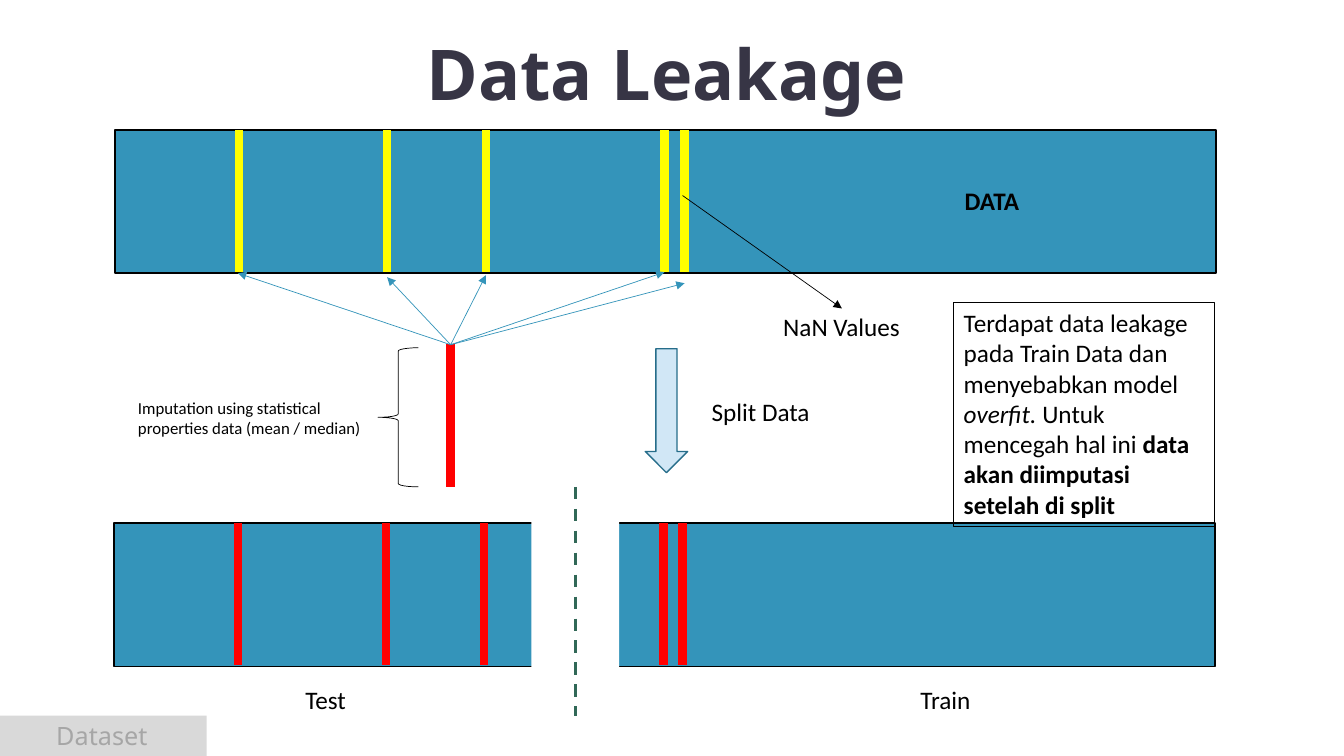
from lxml import etree
from pptx import Presentation
from pptx.dml.color import RGBColor
from pptx.enum.dml import MSO_LINE
from pptx.enum.shapes import MSO_CONNECTOR, MSO_SHAPE
from pptx.enum.text import MSO_ANCHOR, MSO_AUTO_SIZE, PP_ALIGN
from pptx.oxml.ns import qn
from pptx.util import Inches, Pt

BLACK = RGBColor(0x00, 0x00, 0x00)
WHITE = RGBColor(0xFF, 0xFF, 0xFF)
BLUE = RGBColor(0x34, 0x94, 0xBA)
DARK_BLUE = RGBColor(0x26, 0x6D, 0x8A)
PALE_BLUE = RGBColor(0xD1, 0xE7, 0xF6)
YELLOW = RGBColor(0xFF, 0xFF, 0x00)
RED = RGBColor(0xFF, 0x00, 0x00)
GREEN = RGBColor(0x31, 0x68, 0x57)
INK = RGBColor(0x37, 0x35, 0x45)
GREY = RGBColor(0xA6, 0xA6, 0xA6)
LIGHT_GREY = RGBColor(0xD9, 0xD9, 0xD9)

RECT = MSO_SHAPE.RECTANGLE
BRACE = MSO_SHAPE.LEFT_BRACE
DOWN_ARROW = MSO_SHAPE.DOWN_ARROW
STRAIGHT = MSO_CONNECTOR.STRAIGHT
DASH = MSO_LINE.DASH
LEFT = PP_ALIGN.LEFT
CENTER = PP_ALIGN.CENTER
TOP = MSO_ANCHOR.TOP
GROW = MSO_AUTO_SIZE.SHAPE_TO_FIT_TEXT

BAND_HEIGHT = 1.42


class SlideBuilder:
    body_font = "Calibri"
    head_font = "Noto Sans"

    def __init__(self, slide):
        self.slide = slide

    def shape(self, kind, box, fill=None, line=None, width=1, parent=None):
        shapes = (parent or self.slide).shapes
        item = shapes.add_shape(kind, *map(Inches, box))
        item.shadow.inherit = False
        if fill is None:
            item.fill.background()
        else:
            item.fill.solid()
            item.fill.fore_color.rgb = fill
        if line is None:
            item.line.fill.background()
        else:
            item.line.color.rgb = line
            item.line.width = Pt(width)
        return item

    def line(self, start, end, color, width, arrow=False, dash=None, parent=None):
        shapes = (parent or self.slide).shapes
        item = shapes.add_connector(STRAIGHT, *map(Inches, (*start, *end)))
        item.line.color.rgb = color
        item.line.width = Pt(width)
        if dash:
            item.line.dash_style = dash
        properties = item._element.spPr
        if arrow:
            tail = etree.SubElement(properties.find(qn("a:ln")), qn("a:tailEnd"))
            tail.set("type", "triangle")
        etree.SubElement(properties, qn("a:effectLst"))
        return item

    def fill_text(self, item, runs, align=LEFT, color=BLACK, **style):
        frame = item.text_frame
        for name, value in {"word_wrap": True, "auto_size": GROW,
                            "vertical_anchor": TOP}.items():
            setattr(frame, name, value)
        paragraph = frame.paragraphs[0]
        paragraph.alignment = align
        base = {"name": self.body_font, "size": Pt(18), **style}
        for text, extra in runs:
            run = paragraph.add_run()
            run.text = text
            run.font.color.rgb = color
            for name, value in {**base, **extra}.items():
                setattr(run.font, name, value)

    def label(self, text, box, **style):
        item = self.slide.shapes.add_textbox(*map(Inches, box))
        self.fill_text(item, [(text, {})], **style)

    def band(self, left, top, columns, color):
        group = self.slide.shapes.add_group_shape()
        self.shape(RECT, (left, top, 10.92, BAND_HEIGHT), BLUE, BLACK, parent=group)
        self.columns(top, columns, color, group)

    def columns(self, top, columns, color, parent=None):
        for x in columns:
            self.line((x, top), (x, top + BAND_HEIGHT - 0.01), color, 6, parent=parent)


def main():
    deck = Presentation()
    deck.slide_width = Inches(13.33)
    deck.slide_height = Inches(7.5)
    page = SlideBuilder(deck.slides.add_slide(deck.slide_layouts[6]))

    dataset_tag = page.shape(RECT, (-0.03, 7.1, 2.08, 0.4), LIGHT_GREY)
    page.fill_text(dataset_tag, [("Dataset", {})], CENTER, GREY, name=page.head_font)
    page.label("Data Leakage", (1, 0.25, 11.22, 0.94), align=CENTER,
               name=page.head_font, size=Pt(50), bold=True, color=INK)

    page.band(1.14, 1.29, (2.37, 3.84, 4.82, 6.59, 6.79), YELLOW)
    page.line((4.47, 3.41), (4.47, 4.83), RED, 6)
    for target in ((6.79, 2.81), (6.59, 2.7), (4.82, 2.73), (3.84, 2.75), (2.36, 2.71)):
        page.line((4.47, 3.42), target, BLUE, 0.5, arrow=True)
    page.label("DATA", (9.47, 1.79, 0.84, 0.4), bold=True)
    page.line((6.77, 1.94), (8.35, 3.06), BLACK, 0.5, arrow=True)
    page.label("NaN Values", (7.67, 3.04, 1.36, 0.4))

    page.shape(BRACE, (3.75, 3.45, 0.4, 1.38), line=BLACK, width=0.5)
    page.label("Imputation using statistical properties data (mean / median)",
               (1.27, 3.9, 2.62, 0.5), size=Pt(12))

    page.band(1.13, 5.19, (2.36, 3.83, 4.8), RED)
    page.shape(DOWN_ARROW, (6.4, 3.46, 0.42, 1.23), PALE_BLUE, DARK_BLUE)
    page.label("Split Data", (6.96, 3.88, 1.2, 0.4))
    split_gap = page.shape(RECT, (5.27, 4.83, 0.87, 2.27), WHITE)
    page.columns(5.19, (6.58, 6.77), RED)
    divider = page.line((5.7, 4.83), (5.7, 7.1), GREEN, 2.25, dash=DASH)
    divider.begin_connect(split_gap, 0)
    divider.end_connect(split_gap, 2)
    for part, left in (("Test", 2.93), ("Train", 9.03)):
        page.label(part, (left, 6.74, 0.97, 0.4))

    leakage_note = page.shape(RECT, (9.46, 3, 2.59, 2.22), line=BLACK, width=0.75)
    page.fill_text(leakage_note, [
        ("Terdapat data leakage pada Train Data dan menyebabkan model ", {}),
        ("overfit. ", {"italic": True}),
        ("Untuk mencegah hal ini ", {}),
        ("data akan diimputasi setelah di split", {"bold": True}),
    ])

    deck.save("out.pptx")


if __name__ == "__main__":
    main()
